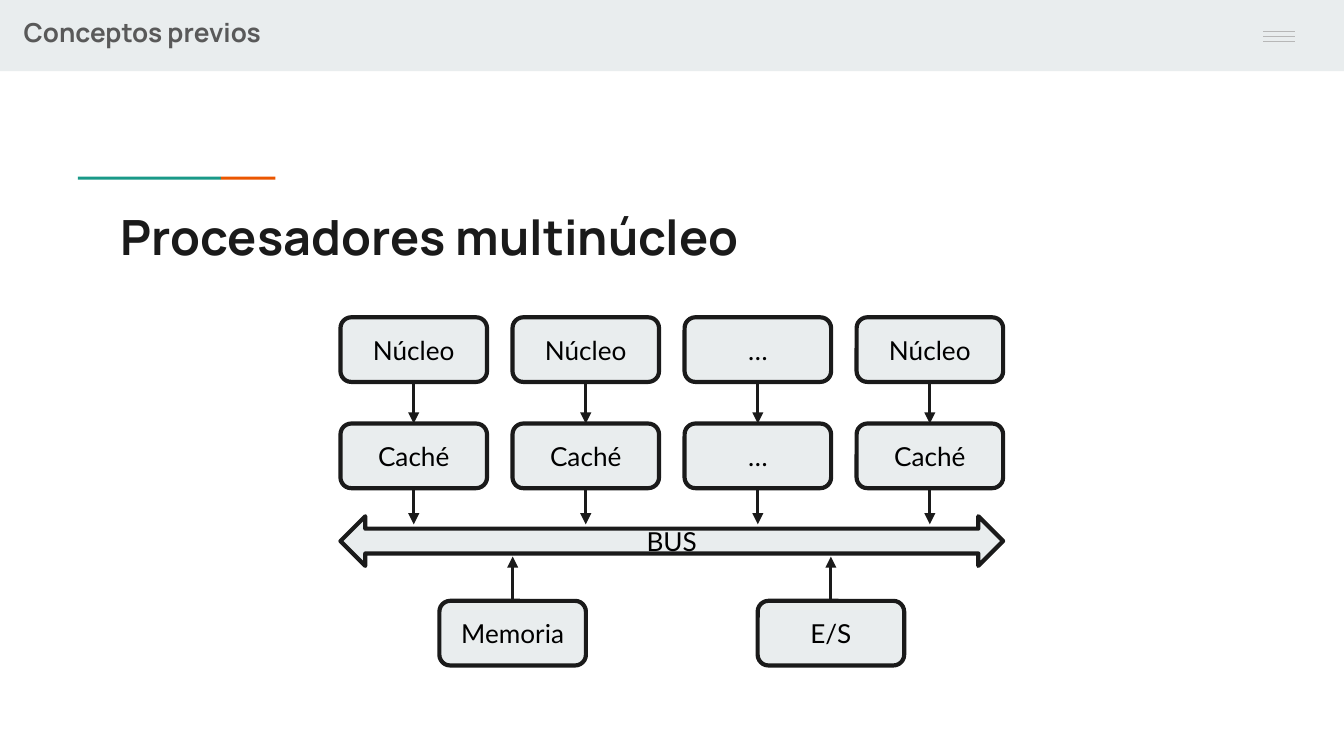
from pptx import Presentation
from pptx.dml.color import RGBColor
from pptx.enum.shapes import MSO_CONNECTOR, MSO_SHAPE
from pptx.enum.text import MSO_ANCHOR, MSO_AUTO_SIZE, PP_ALIGN
from pptx.oxml.xmlchemy import OxmlElement
from pptx.util import Pt

MIST = RGBColor(0xE9, 0xED, 0xEE)
INK = RGBColor(0x1A, 0x1A, 0x1A)
GRAY = RGBColor(0x59, 0x59, 0x59)
RULE = RGBColor(0xB7, 0xB7, 0xB7)
TEAL = RGBColor(0x1A, 0x99, 0x88)
ORANGE = RGBColor(0xEB, 0x56, 0x00)
BLACK = RGBColor(0, 0, 0)

HEAD = {"name": "Manrope", "size": Pt(14), "bold": True}
TITLE = {"name": "Manrope", "size": Pt(26), "bold": True}
LABEL = {"name": "Lato", "size": Pt(14), "bold": False}
FRAME = {"word_wrap": True, "auto_size": MSO_AUTO_SIZE.NONE,
         "margin_left": Pt(7.2), "margin_right": Pt(7.2),
         "margin_top": Pt(7.2), "margin_bottom": Pt(7.2)}

CARD_W, CARD_H = 78.5, 34.6


def apply(target, values):
    for name, value in values.items():
        setattr(target, name, value)


def write(shape, text, font, color, align=PP_ALIGN.LEFT, anchor=MSO_ANCHOR.TOP):
    frame = shape.text_frame
    apply(frame, FRAME)
    frame.vertical_anchor = anchor
    frame.text = text
    para = frame.paragraphs[0]
    para.alignment = align
    apply(para.runs[0].font, font)
    para.runs[0].font.color.rgb = color


def add_block(slide, kind, box, fill):
    shape = slide.shapes.add_shape(kind, *map(Pt, box))
    shape.shadow.inherit = False
    shape.fill.solid()
    shape.fill.fore_color.rgb = fill
    shape.line.fill.background()
    return shape


def add_node(slide, kind, box, text):
    node = add_block(slide, kind, box, MIST)
    node.line.color.rgb = INK
    node.line.width = Pt(2.25)
    write(node, text, LABEL, BLACK, PP_ALIGN.CENTER, MSO_ANCHOR.MIDDLE)


def add_line(slide, start, end, color, width, arrow=False):
    line = slide.shapes.add_connector(
        MSO_CONNECTOR.STRAIGHT, *map(Pt, (*start, *end)))
    line.line.color.rgb = color
    line.line.width = Pt(width)
    if arrow:
        tail = OxmlElement("a:tailEnd")
        tail.set("type", "triangle")
        line.line._get_or_add_ln().append(tail)
    line._element.spPr.append(OxmlElement("a:effectLst"))


def add_header(slide, box):
    left, top, width, height = box
    add_block(slide, MSO_SHAPE.RECTANGLE, box, MIST)
    # Menu icon
    right = left + width - 26
    for row in range(3):
        y = top + 17 + 2.6 * row
        add_line(slide, (right - 17.2, y), (right, y), RULE, 0.75)
    # Section name
    name = slide.shapes.add_textbox(Pt(left + 5.6), Pt(top + 1.4), Pt(332), Pt(42.5))
    write(name, "Conceptos previos", HEAD, GRAY)


def add_title(slide, box):
    left, top, width, height = box
    # Two-colour accent above the title
    x, y = left - 15.8, top - 9
    for color, size in ((TEAL, 76.6), (ORANGE, 29.2)):
        add_block(slide, MSO_SHAPE.RECTANGLE, (x, y, size, 1.6), color)
        x += size
    # Title placeholder
    title = slide.shapes.title
    apply(title, dict(zip(("left", "top", "width", "height"), map(Pt, box))))
    write(title, "Procesadores multinúcleo", TITLE, INK)


def add_diagram(slide, box):
    left, top, width, height = box
    cache = top + 56.9
    bus, bus_h = top + 106.6, 26.6
    base = top + height - CARD_H
    step = (width - CARD_W) / 3
    card = MSO_SHAPE.ROUNDED_RECTANGLE

    # Cores, each with its cache
    pairs = [("Núcleo", "Caché")] * 2 + [("…", "…"), ("Núcleo", "Caché")]
    for col, labels in enumerate(pairs):
        x = left + col * step
        mid = x + CARD_W / 2
        for y, end, text in zip((top, cache), (cache, bus + 4.3), labels):
            add_node(slide, card, (x, y, CARD_W, CARD_H), text)
            add_line(slide, (mid, y + CARD_H), (mid, end), INK, 1.5, True)

    # Shared bus
    add_node(slide, MSO_SHAPE.LEFT_RIGHT_ARROW, (left, bus, width, bus_h), "BUS")

    # Devices below the bus
    inset = 53
    for x, text in ((left + inset, "Memoria"),
                    (left + width - inset - CARD_W, "E/S")):
        mid = x + CARD_W / 2
        add_node(slide, card, (x, base, CARD_W, CARD_H), text)
        add_line(slide, (mid, base), (mid, bus + bus_h - 5), INK, 1.5, True)


def main():
    deck = Presentation()
    deck.slide_width, deck.slide_height = Pt(720), Pt(405)
    slide = deck.slides.add_slide(deck.slide_layouts[5])
    add_header(slide, (0, 0, 720, 38.2))
    add_title(slide, (57.6, 103.7, 355, 42.5))
    add_diagram(slide, (182.4, 170, 355, 186.5))
    deck.save("out.pptx")


if __name__ == "__main__":
    main()
